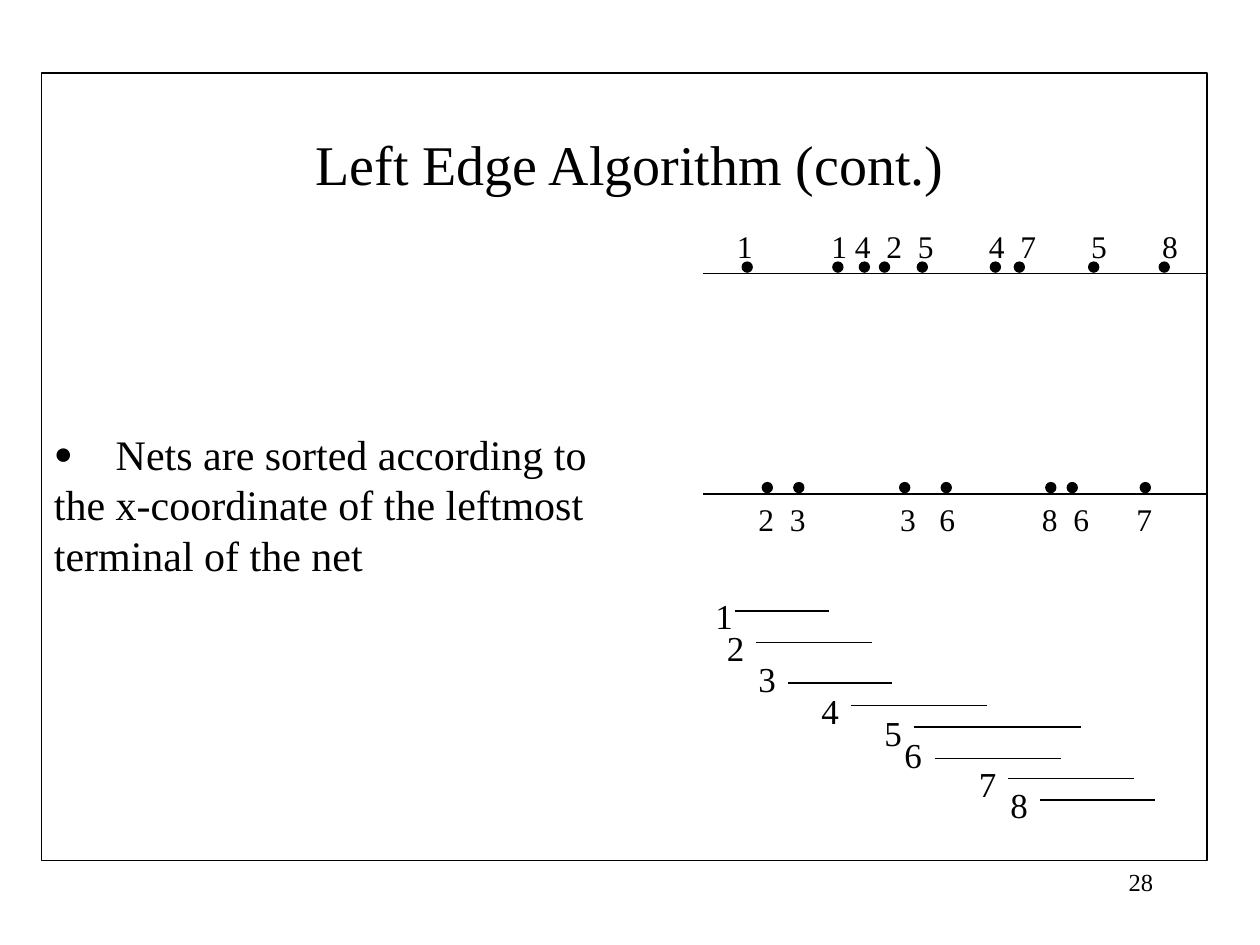
from lxml import etree
from pptx import Presentation
from pptx.dml.color import RGBColor
from pptx.enum.shapes import MSO_CONNECTOR, MSO_SHAPE
from pptx.enum.text import MSO_ANCHOR, MSO_AUTO_SIZE, PP_ALIGN
from pptx.oxml.ns import qn
from pptx.util import Inches, Pt

STRAIGHT = MSO_CONNECTOR.STRAIGHT
RECTANGLE, OVAL = MSO_SHAPE.RECTANGLE, MSO_SHAPE.OVAL
MIDDLE, GROW = MSO_ANCHOR.MIDDLE, MSO_AUTO_SIZE.SHAPE_TO_FIT_TEXT
LEFT, CENTER, RIGHT = PP_ALIGN.LEFT, PP_ALIGN.CENTER, PP_ALIGN.RIGHT
BLACK = RGBColor.from_string("000000")
DOT = 0.08
SPACE = 0.0625

presentation = Presentation()
presentation.slide_width = Inches(10)
presentation.slide_height = Inches(7.5)
slide = presentation.slides.add_slide(presentation.slide_layouts[5])


def add_text(text, left, top, width, height, size, align=LEFT, tabs=(), bullet=False):
    shape = slide.shapes.add_textbox(Inches(left), Inches(top), Inches(width), Inches(height))
    shape.text_frame.word_wrap = True
    shape.text_frame.auto_size = GROW
    paragraph = shape.text_frame.paragraphs[0]
    paragraph.text = text
    paragraph.alignment = align
    properties = paragraph._p.get_or_add_pPr()
    if bullet:
        properties.set("marL", "0")
        properties.set("indent", "0")
        etree.SubElement(properties, qn("a:buSzPct"), val="75000")
        etree.SubElement(properties, qn("a:buFont"), typeface="Arial")
        etree.SubElement(properties, qn("a:buChar"), char="●")
    if tabs:
        tab_list = etree.SubElement(properties, qn("a:tabLst"))
        for position in tabs:
            etree.SubElement(tab_list, qn("a:tab"), pos=str(Inches(position)), algn="l")
    font = paragraph.runs[0].font
    font.name, font.size, font.color.rgb = "Times New Roman", Pt(size), BLACK


def add_line(start, end, y):
    line = slide.shapes.add_connector(STRAIGHT, Inches(start), Inches(y), Inches(end), Inches(y))
    line.line.color.rgb = BLACK
    line.line.width = Pt(0.75)
    etree.SubElement(line._element.spPr, qn("a:effectLst"))


title = slide.shapes.title
title.left, title.top, title.width, title.height = (
    Inches(value) for value in (0.75, 0.67, 8.5, 1.25))
title.text_frame.text = "Left Edge Algorithm (cont.)"
title.text_frame.vertical_anchor = MIDDLE
title_paragraph = title.text_frame.paragraphs[0]
title_paragraph.alignment = CENTER
title_font = title_paragraph.runs[0].font
title_font.name, title_font.size, title_font.color.rgb = "Times New Roman", Pt(32), BLACK

frame = slide.shapes.add_shape(RECTANGLE, Inches(0.33), Inches(0.58), Inches(9.25), Inches(6.25))
frame.shadow.inherit = False
frame.fill.background()
frame.line.color.rgb = BLACK
frame.line.width = Pt(0.75)

add_text("28", 7.17, 6.83, 2.08, 0.5, 14, align=RIGHT)
add_text("\tNets are sorted according to the x-coordinate of the leftmost terminal of the net",
         0.33, 3.35, 4.75, 1.3, 24, tabs=[0.49], bullet=True)

nets = [
    ("1", 5.58, 4.67, 5.83, 6.58, 4.85),
    ("2", 5.67, 4.92, 6, 6.92, 5.1),
    ("3", 5.92, 5.17, 6.25, 7.08, 5.42),
    ("4", 6.42, 5.42, 6.75, 7.83, 5.6),
    ("5", 6.92, 5.6, 7.25, 8.58, 5.77),
    ("6", 7.08, 5.77, 7.42, 8.42, 6.02),
    ("7", 7.67, 6, 8, 9, 6.18),
    ("8", 7.92, 6.17, 8.25, 9.17, 6.35),
]
for name, label_left, label_top, start, end, y in nets:
    add_line(start, end, y)
    add_text(name, label_left, label_top, 0.42, 0.44, 20)

channel_sides = [
    (2.17, 2.08, [5.89, 6.61, 6.82, 6.98, 7.28, 7.86, 8.05, 8.64, 9.2],
     "114254758", [12, 15, 19, 23, 32, 36, 45, 54], (5.75, 1.75, 3.83, 0.4)),
    (3.92, 3.83, [6.05, 6.3, 7.14, 7.47, 8.3, 8.47, 9.05],
     "2336867", [4, 18, 23, 36, 40, 48], (5.92, 3.92, 3.53, 0.4)),
]
for line_y, dot_top, dot_lefts, terminals, columns, label_box in channel_sides:
    add_line(5.58, 9.58, line_y)
    for dot_left in dot_lefts:
        dot = slide.shapes.add_shape(OVAL, Inches(dot_left), Inches(dot_top), Inches(DOT), Inches(DOT))
        dot.shadow.inherit = False
        dot.fill.solid()
        dot.fill.fore_color.rgb = BLACK
        dot.line.color.rgb = BLACK
        dot.line.width = Pt(0.75)
    add_text("\t".join(terminals), *label_box, 18, tabs=[column * SPACE for column in columns])

presentation.save("out.pptx")
